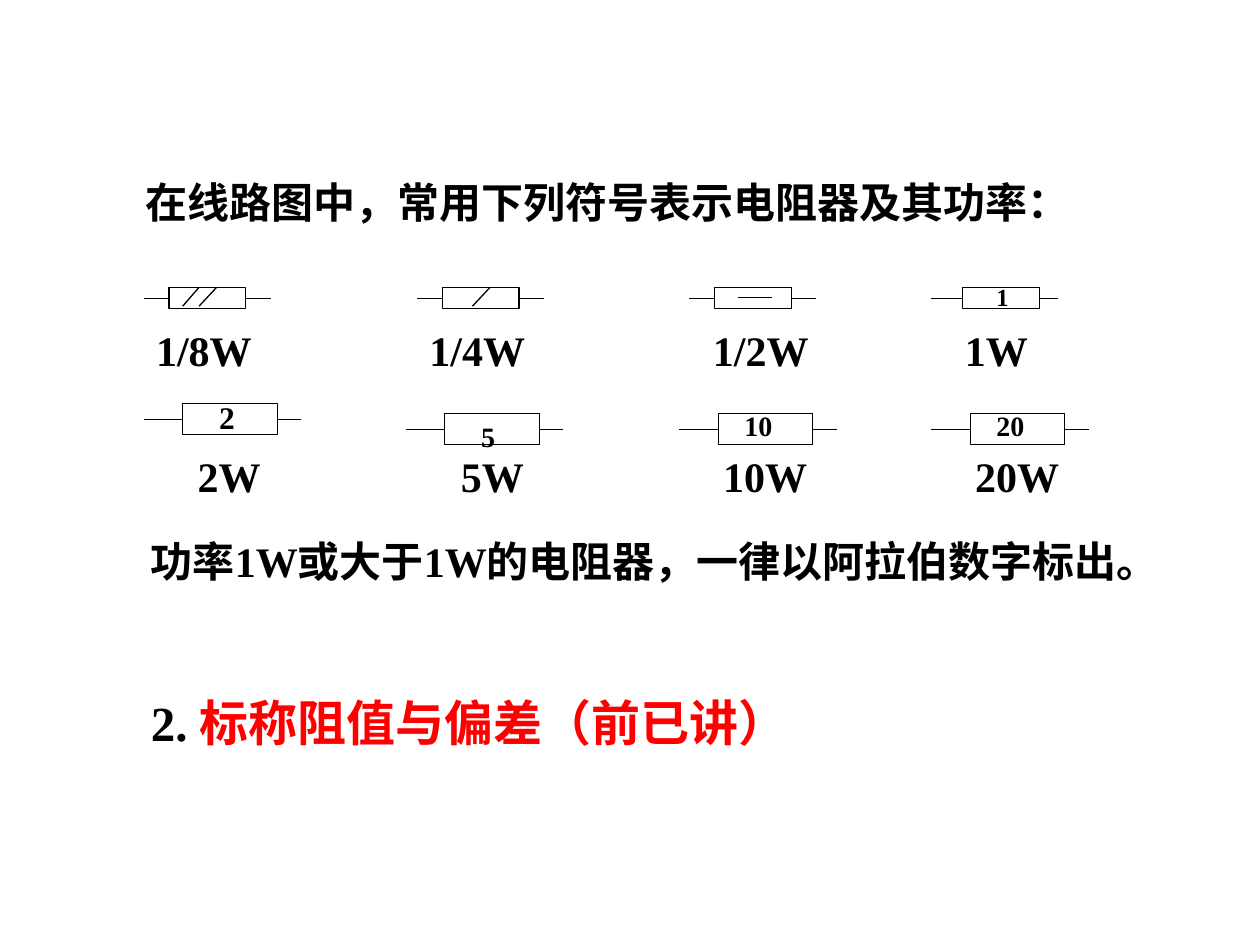
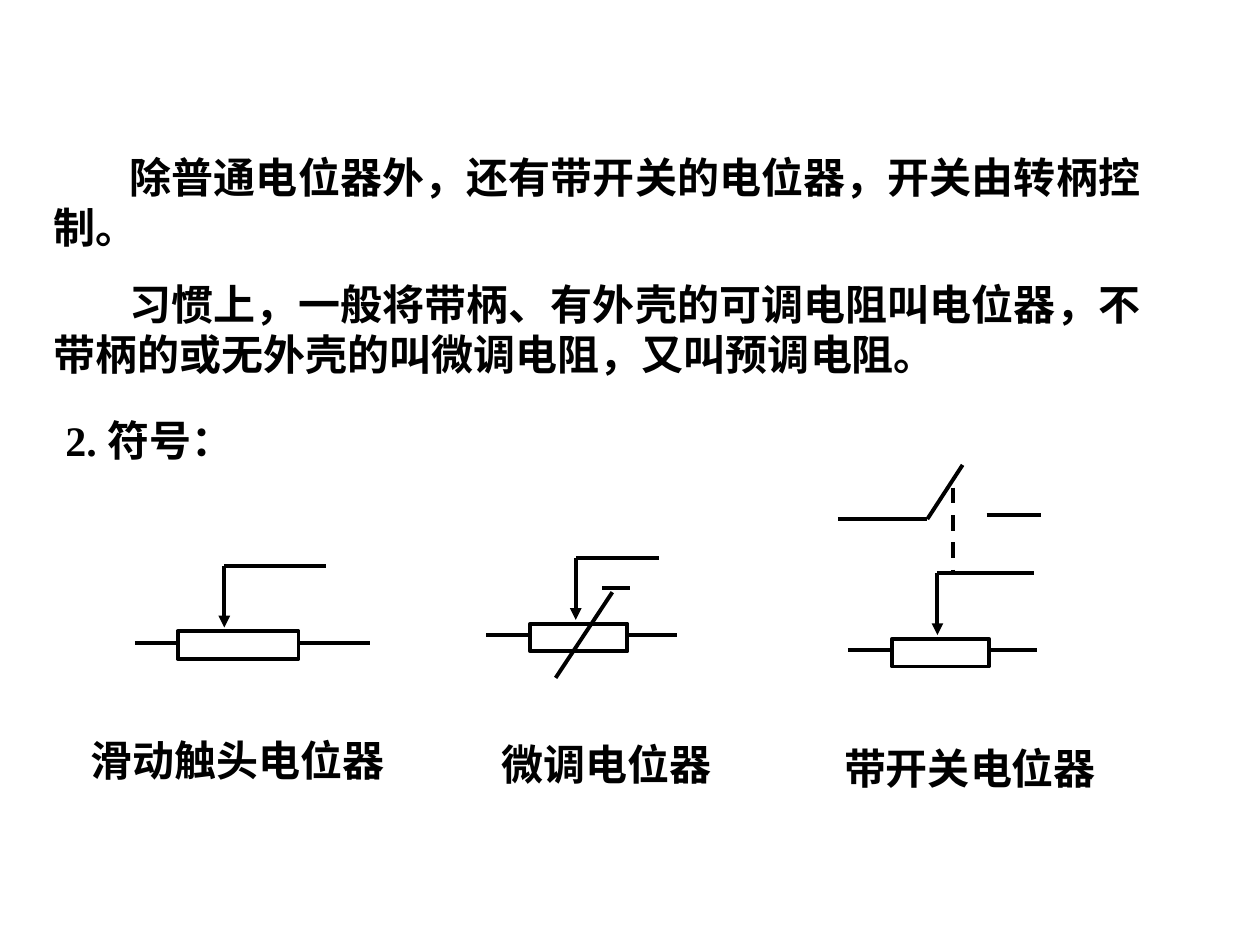
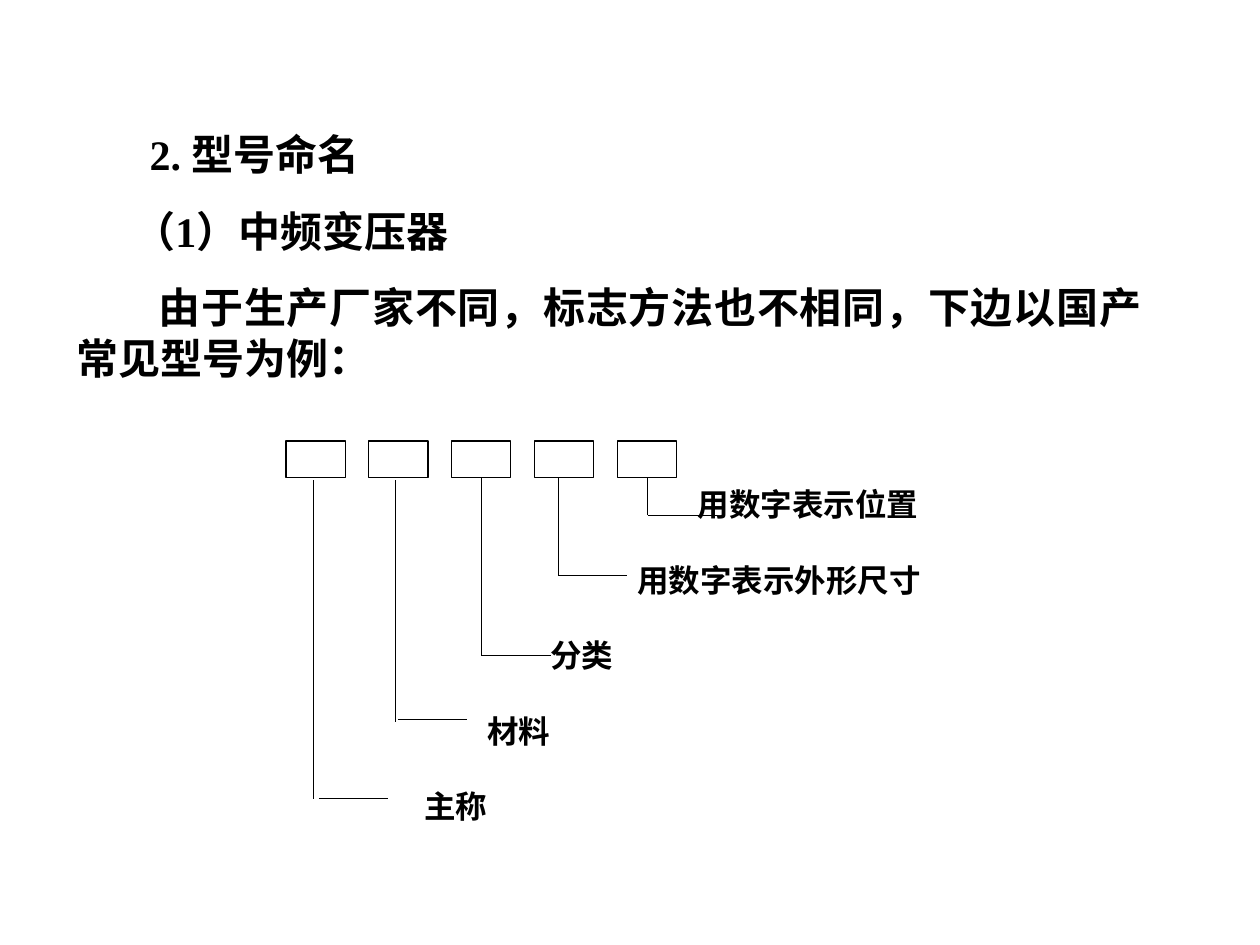
"""Builds three slides on resistor, potentiometer and transformer symbols."""
from dataclasses import dataclass

from lxml import etree
from pptx import Presentation
from pptx.dml.color import RGBColor
from pptx.enum.dml import MSO_LINE
from pptx.enum.shapes import MSO_CONNECTOR, MSO_SHAPE
from pptx.enum.text import PP_ALIGN
from pptx.oxml.ns import qn
from pptx.util import Inches, Pt

RECT, STRAIGHT = MSO_SHAPE.RECTANGLE, MSO_CONNECTOR.STRAIGHT
LEFT, JUSTIFY, DASH = PP_ALIGN.LEFT, PP_ALIGN.JUSTIFY, MSO_LINE.DASH


@dataclass(frozen=True)
class Theme:
    ink: RGBColor = RGBColor(0, 0, 0)
    paper: RGBColor = RGBColor(255, 255, 255)
    accent: RGBColor = RGBColor(255, 0, 0)
    latin: str = "Times New Roman"
    chinese: str = "Noto Sans CJK SC"
    body: int = 24
    heading: int = 28
    label: int = 18
    gap: float = 15
    thin: float = 0.75
    thick: float = 2.25


THEME = Theme()

POWER_INTRO = "在线路图中，常用下列符号表示电阻器及其功率："
POWER_RULE = "功率1W或大于1W的电阻器，一律以阿拉伯数字标出。"
NEXT_TOPIC = ("2. ", "标称阻值与偏差（前已讲）")

# power, wire left, body offset, power left, power width
SMALL_RESISTORS = [
    ("1/8W", 1.14, 0.2, 1.14, 1.17),
    ("1/4W", 3.31, 0.2, 3.31, 1),
    ("1/2W", 5.47, 0.2, 5.56, 1),
    ("1W", 7.39, 0.25, 7.56, 0.92),
]
LARGE_RESISTORS = [
    ("2W", 1.14, 3.33, 1.47, 0.83),
    ("5W", 3.22, 3.41, 3.56, 0.83),
    ("10W", 5.39, 3.41, 5.64, 1),
    ("20W", 7.39, 3.41, 7.64, 1),
]
BODY_MARKS = [
    (1.58, 2.28, 1.45, 2.43),
    (1.72, 2.28, 1.58, 2.43),
    (3.89, 2.28, 3.75, 2.43),
    (5.86, 2.36, 6.13, 2.36),
]
BODY_NUMBERS = [
    ("1", 7.81, 2.19, 0.33, 14),
    ("2", 1.64, 3.11, 0.5, 18),
    ("5", 3.72, 3.28, 0.42, 16),
    ("10", 5.81, 3.19, 0.5, 16),
    ("20", 7.81, 3.19, 0.58, 16),
]

POTENTIOMETER_NOTES = [
    ("除普通电位器外，还有带开关的电位器，开关由转柄控制。", 0.6),
    ("习惯上，一般将带柄、有外壳的可调电阻叫电位器，不带柄的或无外壳的叫微调电阻，又叫预调电阻。", 0.6),
]
SYMBOL_HEADING = ("2. ", "符号：")
POTENTIOMETERS = [
    dict(name="滑动触头电位器", wire=(1.07, 2.94), y=5.1, body=(1.41, 0.96),
         slider=(1.78, 2.59), name_at=(0.62, 5.78, 2.67)),
    dict(name="微调电位器", wire=(3.86, 5.37), y=5.04, body=(4.21, 0.77),
         slider=(4.57, 5.23), name_at=(3.88, 5.81, 2.16)),
    dict(name="带开关电位器", wire=(6.73, 8.23), y=5.16, body=(7.08, 0.77),
         slider=(7.44, 8.21), name_at=(6.6, 5.84, 2.28)),
]
TRIMMER_STROKES = [(4.86, 4.7, 4.41, 5.38), (4.78, 4.67, 5, 4.67)]
SWITCH_STROKES = [
    (6.65, 4.12, 7.36, 4.12),
    (7.83, 4.09, 8.26, 4.09),
    (7.36, 4.12, 7.64, 3.69),
]
SWITCH_LINK = (7.56, 3.87, 7.56, 4.55)

NAMING_NOTES = [
    ("2. 型号命名", 0.58),
    ("（1）中频变压器", 0.45),
    ("由于生产厂家不同，标志方法也不相同，下边以国产常见型号为例：", 0.65),
]
# meaning, text indent, stem x, stem top, stem bottom, branch left, branch y
CODE_PARTS = [
    ("用数字表示位置", 2.17, 5.14, 3.79, 4.09, 5.14, 4.09),
    ("用数字表示外形尺寸", 1.69, 4.43, 3.79, 4.57, 4.43, 4.57),
    ("分类", 1, 3.82, 3.79, 5.2, 3.82, 5.2),
    ("材料", 0.5, 3.14, 3.81, 5.73, 3.16, 5.71),
    ("主称", 0, 2.49, 3.81, 6.34, 2.53, 6.34),
]


def inches(*lengths):
    return [Inches(length) for length in lengths]


def style(target, **values):
    for key, value in values.items():
        setattr(target, key, value)


def add_text(slide, box, paragraphs, size=THEME.body, align=LEFT, gap=THEME.gap):
    """Each paragraph is (runs, first-line indent); each run is (text, font changes)."""
    frame = slide.shapes.add_textbox(*inches(*box)).text_frame
    frame.word_wrap = True
    for number, (runs, indent) in enumerate(paragraphs):
        paragraph = frame.add_paragraph() if number else frame.paragraphs[0]
        paragraph.alignment = align
        if number:
            paragraph.space_before = Pt(gap)
        if indent:
            paragraph._p.get_or_add_pPr().set("indent", str(Inches(indent)))
        for words, changes in runs:
            run = paragraph.add_run()
            run.text = words
            style(run.font, **{"name": THEME.latin, "size": Pt(size), "bold": True, **changes})
            run.font.color.rgb = THEME.accent if words == NEXT_TOPIC[1] else THEME.ink


def plain(words, indent=0):
    return [(words, {})], indent


def numbered(heading, indent=0):
    number, words = heading
    return [(number, {}), (words, {"name": THEME.chinese})], indent


def add_line(slide, ends, width=THEME.thin, arrow=False, dash=None):
    stroke = slide.shapes.add_connector(STRAIGHT, *inches(*ends))
    stroke.line.color.rgb = THEME.ink
    style(stroke.line, width=Pt(width), dash_style=dash)
    if arrow:
        etree.SubElement(stroke.line._get_or_add_ln(), qn("a:tailEnd"), type="triangle")
    etree.SubElement(stroke._element.spPr, qn("a:effectLst"))


def add_body(slide, box, width=THEME.thin):
    body = slide.shapes.add_shape(RECT, *inches(*box))
    body.shadow.inherit = False
    body.fill.solid()
    body.fill.fore_color.rgb = THEME.paper
    body.line.color.rgb = THEME.ink
    body.line.width = Pt(width)


def build_power(slide):
    add_text(slide, (0.92, 1.35, 8.5, 0.5), [plain(POWER_INTRO, 0.14)], align=JUSTIFY)
    for power, left, offset, power_left, power_width in SMALL_RESISTORS:
        add_line(slide, (left, 2.37, left + 1.01, 2.37))
        add_body(slide, (left + offset, 2.28, 0.61, 0.17))
        add_text(slide, (power_left, 2.53, power_width, 0.5), [plain(power)])
    for power, left, y, power_left, power_width in LARGE_RESISTORS:
        add_line(slide, (left, y, left + 1.25, y))
        add_body(slide, (left + 0.31, y - 0.13, 0.75, 0.25))
        add_text(slide, (power_left, 3.53, power_width, 0.5), [plain(power)])
    for mark in BODY_MARKS:
        add_line(slide, mark)
    for number, left, top, width, size in BODY_NUMBERS:
        add_text(slide, (left, top, width, 0.37), [plain(number)], size)
    add_text(slide, (0.34, 5.45, 8.5, 0.6), [numbered(NEXT_TOPIC, 0.76)],
             THEME.heading, JUSTIFY)
    add_text(slide, (1.1, 4.2, 8.2, 0.5), [plain(POWER_RULE)])


def build_potentiometers(slide):
    add_text(slide, (0.33, 1.15, 8.82, 1.91),
             [plain(*note) for note in POTENTIOMETER_NOTES], align=JUSTIFY)
    add_text(slide, (0.42, 3.24, 2.31, 0.5), [numbered(SYMBOL_HEADING)])
    for part in POTENTIOMETERS:
        y = part["y"]
        start, end = part["wire"]
        body_left, body_width = part["body"]
        tip, slider_end = part["slider"]
        add_line(slide, (start, y, end, y), THEME.thick)
        add_body(slide, (body_left, y - 0.09, body_width, 0.22), THEME.thick)
        add_line(slide, (tip, y - 0.61, tip, y - 0.12), THEME.thick, arrow=True)
        add_line(slide, (tip, y - 0.61, slider_end, y - 0.61), THEME.thick)
        add_text(slide, (*part["name_at"], 0.7), [plain(part["name"])], align=JUSTIFY)
    for stroke in TRIMMER_STROKES + SWITCH_STROKES:
        add_line(slide, stroke, THEME.thick)
    add_line(slide, SWITCH_LINK, THEME.thick, dash=DASH)


def build_naming(slide):
    add_text(slide, (0.51, 0.97, 8.65, 2.12),
             [plain(*note) for note in NAMING_NOTES], align=JUSTIFY)
    add_text(slide, (3.27, 3.8, 4.94, 2.93),
             [plain(meaning, indent) for meaning, indent, *_ in CODE_PARTS],
             THEME.label, JUSTIFY, gap=21.6)
    for position, (_, _, x, top, bottom, left, y) in enumerate(CODE_PARTS):
        add_body(slide, (2.27 + 0.6575 * position, 3.5, 0.47, 0.29))
        add_line(slide, (x, top, x, bottom))
        add_line(slide, (left, y, left + 0.55, y))


def main():
    deck = Presentation()
    deck.slide_width, deck.slide_height = inches(10, 7.5)
    for build in (build_power, build_potentiometers, build_naming):
        build(deck.slides.add_slide(deck.slide_layouts[6]))
    deck.save("out.pptx")


if __name__ == "__main__":
    main()
